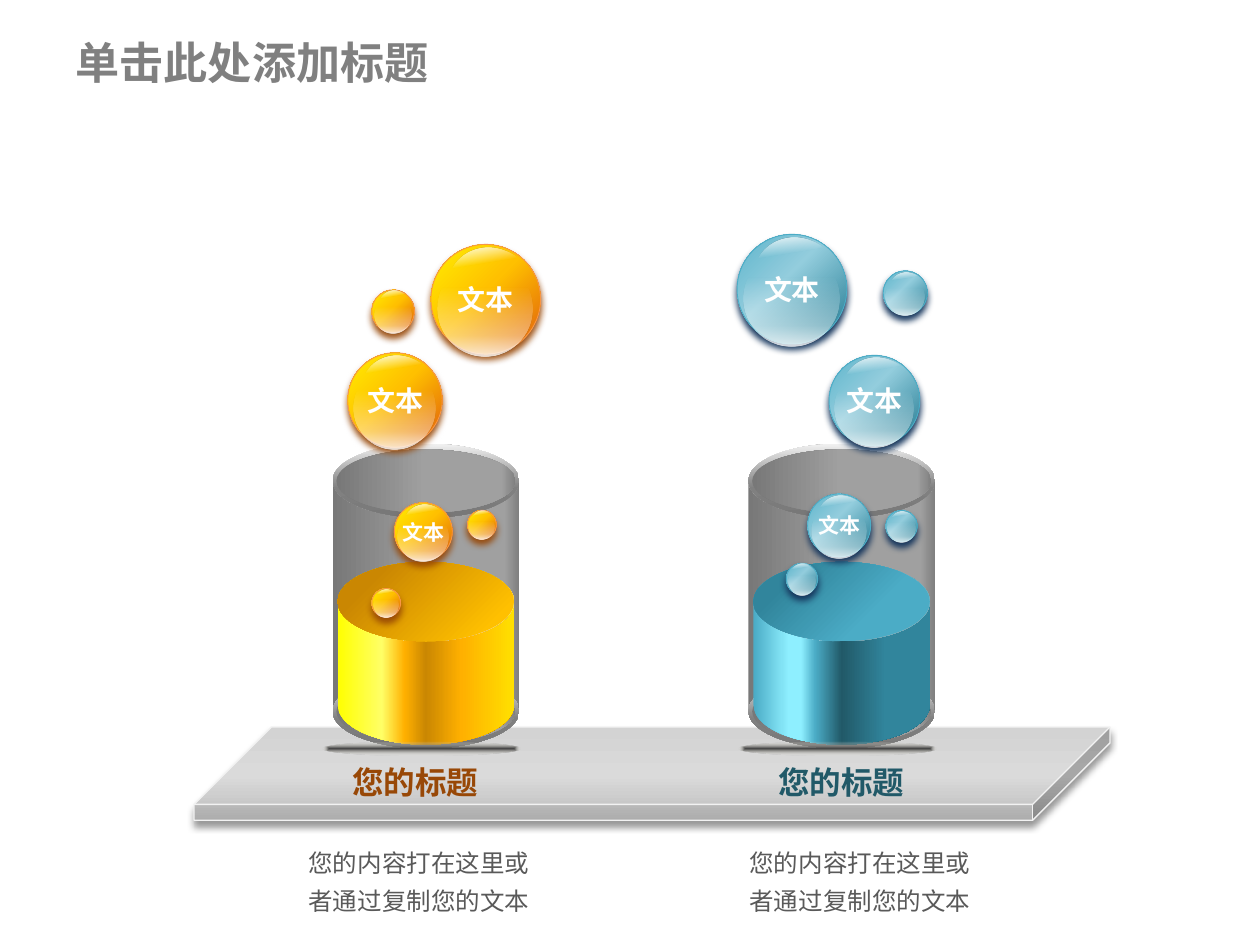
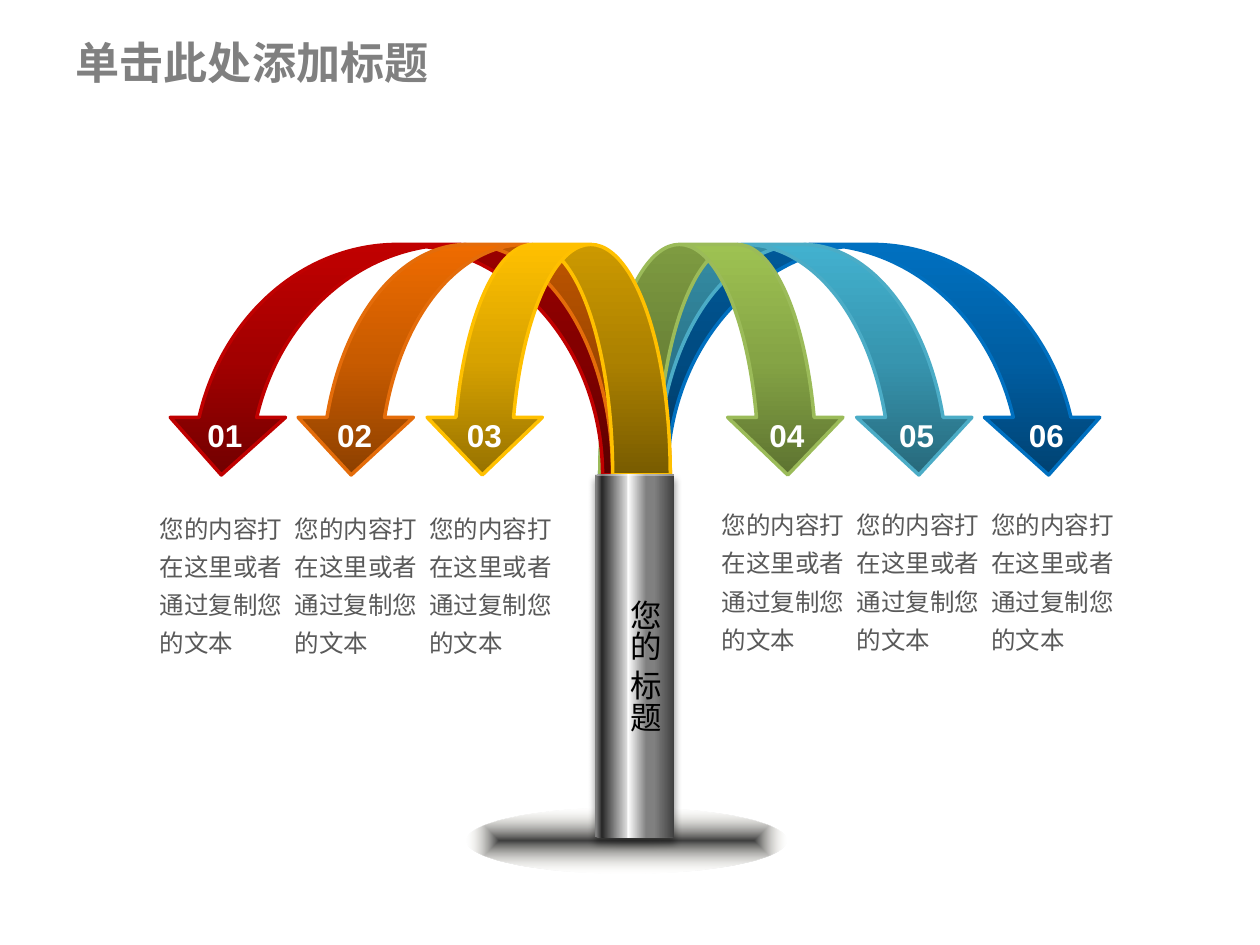
from typing import NamedTuple

from lxml.etree import SubElement
from pptx import Presentation
from pptx.dml.color import RGBColor
from pptx.enum.shapes import MSO_SHAPE as SHAPE
from pptx.enum.text import MSO_ANCHOR as ANCHOR, MSO_AUTO_SIZE as AUTO, PP_ALIGN as ALIGN
from pptx.oxml.ns import qn
from pptx.util import Inches, Pt

WIDTH, HEIGHT = 10, 7.5
COLUMNS, ROWS = 40, 30
CJK, LATIN = "Noto Sans CJK SC", "Arial"
HEADING = "单击此处添加标题"
CAPTION = "您的标题"
BODY = "您的内容打在这里或者通过复制您的文本"

rgb = RGBColor.from_string
WHITE, BLACK = rgb("FFFFFF"), rgb("000000")
CHARCOAL, NEAR_BLACK = rgb("404040"), rgb("262626")
TITLE_GREY, BODY_GREY = rgb("808080"), rgb("595959")
GLASS_DARK, GLASS_LIGHT, SILVER = rgb("787878"), rgb("A0A0A0"), rgb("D9D9D9")
SHELF_DARK, SHELF_MID, SHELF_LIGHT = rgb("ADADAD"), rgb("D1D1D1"), rgb("C9C9C9")
SHELF_EDGE, CREAM = rgb("F2F2F2"), rgb("EEECE1")
YELLOW, PALE_YELLOW, GOLD = rgb("FFFF00"), rgb("FFFF66"), rgb("FFC000")
AMBER, BRONZE, LEMON = rgb("FFB000"), rgb("CA8702"), rgb("FFE000")
ORANGE, PEACH, BROWN = rgb("E46C0A"), rgb("F79646"), rgb("984807")
AQUA, PALE_AQUA, TEAL = rgb("4BACC6"), rgb("93CDDD"), rgb("31859C")
ICE, DEEP_TEAL, NAVY = rgb("8EEFFF"), rgb("215968"), rgb("17375E")

SOFT_SHADOW = (BLACK, 40, 4, 3)
GLOSS = ((0, WHITE, 0), (16, WHITE, 87), (30, WHITE, 0))
BOWL = ((28, WHITE, 0), (78, WHITE, 41), (98, WHITE, 79))
FLOOR_SHADE = ((0, CHARCOAL), (100, CREAM, 0))
GLASS = ((0, GLASS_DARK), (50, GLASS_LIGHT), (92, GLASS_LIGHT), (100, TITLE_GREY))
RIM = ((0, SHELF_EDGE), (60, TITLE_GREY), (100, GLASS_DARK))
SHELF = ((0, SHELF_DARK), (48, SHELF_MID), (100, SHELF_LIGHT))
STEEL = ((2, TITLE_GREY), (9, NEAR_BLACK), (40, SILVER), (42, WHITE),
         (65, TITLE_GREY), (75, TITLE_GREY), (100, CHARCOAL))


class Box(NamedTuple):
    """A rectangle in grid columns and rows."""
    x: float
    y: float
    w: float
    h: float

    def sub(self, dx, dy, w, h):
        """Return a box placed from this box's top left corner."""
        return Box(self.x + dx, self.y + dy, w, h)

    def share(self, fx, fy, fw, fh):
        """Return a box given as shares of this box's size."""
        return self.sub(fx * self.w, fy * self.h, fw * self.w, fh * self.h)

    def lengths(self):
        """Return the position and size as lengths on the slide."""
        col, row = WIDTH / COLUMNS, HEIGHT / ROWS
        return [Inches(n * unit) for n, unit in zip(self, (col, row, col, row))]


class Liquid(NamedTuple):
    """The colours of a vessel's content."""
    bubble: tuple
    edge: RGBColor
    shadow: tuple
    side: tuple
    surface: tuple
    caption: RGBColor


class Arrow(NamedTuple):
    """The width, overlap across the axis and colours of a curved arrow."""
    w: float
    overlap: float
    dark: RGBColor
    mid: RGBColor
    light: RGBColor
    edge: RGBColor


ORANGE_LIQUID = Liquid(
    ((0, YELLOW), (47, GOLD), (82, ORANGE)), PEACH, (BROWN, 92, 4, 3),
    ((0, YELLOW), (25, PALE_YELLOW), (38, AMBER), (50, BRONZE), (70, AMBER), (100, LEMON)),
    ((15, GOLD), (80, BRONZE)), BROWN)
BLUE_LIQUID = Liquid(
    ((0, AQUA), (44, PALE_AQUA), (82, TEAL)), AQUA, (NAVY, 100, 4, 3),
    ((0, AQUA), (20, ICE), (27, ICE), (35, AQUA), (50, DEEP_TEAL), (75, TEAL), (100, TEAL)),
    ((33, AQUA), (80, TEAL)), DEEP_TEAL)
ORANGE_BUBBLES = ((3.12, 0.76, 3.48, 16), (0.48, 4.2, 3, 16), (1.96, 8.96, 1.84, 12),
                  (4.28, 9.2, 0.92, 0), (1.24, 11.68, 0.92, 0), (1.24, 2.2, 1.36, 0))
BLUE_BUBBLES = ((-0.36, 0.44, 3.48, 16), (2.56, 4.28, 2.88, 16), (1.2, 10.88, 1, 0),
                (4.36, 9.2, 1, 0), (1.88, 8.68, 2, 12), (4.28, 1.6, 1.4, 0))

LEFT_ARROWS = (
    Arrow(15.76, 0.8, rgb("720000"), rgb("A20000"), rgb("C00000"), rgb("C00000")),
    Arrow(11.96, 1.12, rgb("8D4000"), rgb("C85B00"), rgb("EE6B00"), ORANGE),
    Arrow(7.8, 1.12, rgb("977200"), rgb("D7A200"), GOLD, GOLD))
RIGHT_ARROWS = (
    Arrow(15.76, 0.8, rgb("004272"), rgb("005EA2"), rgb("0070C0"), rgb("0070C0")),
    Arrow(11.96, 1.12, rgb("27697B"), rgb("3795AF"), rgb("42B1CF"), AQUA),
    Arrow(7.8, 1.12, rgb("5D7330"), rgb("85A445"), rgb("9EC252"), rgb("9BBB59")))


def add_colour(parent, colour, opacity):
    """Add a colour with an opacity in percent."""
    clr = SubElement(parent, qn("a:srgbClr"), val=str(colour))
    if opacity < 100:
        SubElement(clr, qn("a:alpha"), val=str(opacity * 1000))


def set_gradient(sp, stops, angle, path, focus):
    """Fill a shape with a linear gradient, or one spreading from a focus."""
    sp.fill.gradient()
    grad = sp._element.spPr.find(qn("a:gradFill"))
    grad.clear()
    grad.set("rotWithShape", "1")
    gs_list = SubElement(grad, qn("a:gsLst"))
    for pos, colour, *opacity in stops:
        gs = SubElement(gs_list, qn("a:gs"), pos=str(pos * 1000))
        add_colour(gs, colour, opacity[0] if opacity else 100)
    if path:
        node = SubElement(grad, qn("a:path"), path=path)
        rect = SubElement(node, qn("a:fillToRect"))
        for side, share in zip("ltrb", focus):
            rect.set(side, str(share * 1000))
    else:
        SubElement(grad, qn("a:lin"), ang=str(angle * 60000), scaled="0")


def add_shape(shapes, kind, box, stops, angle=0, path=None, focus=(50, 50, 50, 50),
              line=None, line_width=0.5, shadow=None, rotation=0, adjust=None):
    """Add a gradient-filled preset shape."""
    sp = shapes.add_shape(kind, *box.lengths())
    sp.rotation = rotation
    if adjust is not None:
        sp.adjustments[0] = adjust
    set_gradient(sp, stops, angle, path, focus)
    if line is None:
        sp.line.fill.background()
    else:
        sp.line.color.rgb = line
        sp.line.width = Pt(line_width)
    sp.shadow.inherit = False
    if shadow:
        colour, opacity, blur, distance = shadow
        effects = sp._element.spPr.find(qn("a:effectLst"))
        outer = SubElement(effects, qn("a:outerShdw"), blurRad=str(Pt(blur)),
                           dist=str(Pt(distance)), dir="5400000", rotWithShape="0")
        add_colour(outer, colour, opacity)
    return sp


def write(tf, text, size=14, colour=BODY_GREY, bold=False, font=CJK,
          align=ALIGN.LEFT, anchor=ANCHOR.TOP, spacing=None, wrap=True):
    """Write one formatted paragraph into a text frame."""
    tf.word_wrap = wrap
    tf.auto_size = AUTO.NONE
    tf.vertical_anchor = anchor
    p = tf.paragraphs[0]
    p.alignment = align
    if spacing:
        p.line_spacing = spacing
    r = p.add_run()
    r.text = text
    r.font.size, r.font.bold, r.font.name = Pt(size), bold, font
    r.font.color.rgb = colour
    SubElement(r._r.get_or_add_rPr(), qn("a:ea"), typeface=font)


def add_text(shapes, box, text, **style):
    """Add a text box and return its frame."""
    tf = shapes.add_textbox(*box.lengths()).text_frame
    write(tf, text, **style)
    return tf


def add_titled_slide(prs):
    """Add a title-only slide with the shared heading."""
    slide = prs.slides.add_slide(prs.slide_layouts[5])
    title = slide.shapes.title
    title.left, title.top, title.width, title.height = Box(2, 0.84, 36, 2.24).lengths()
    write(title.text_frame, HEADING, size=25.2, colour=TITLE_GREY, bold=True,
          anchor=ANCHOR.MIDDLE)
    return slide


def draw_bubble(shapes, box, liquid, label_size):
    """Draw a glossy bubble with an optional label."""
    group = shapes.add_group_shape().shapes
    add_shape(group, SHAPE.OVAL, box, liquid.bubble, path="circle", focus=(0, 0, 100, 100),
              line=liquid.edge, shadow=liquid.shadow, rotation=21.1)
    add_shape(group, SHAPE.OVAL, box.share(0.14, 0.04, 0.82, 0.76), GLOSS, 45, rotation=35.7)
    add_shape(group, SHAPE.OVAL, box.share(0.06, 0.15, 0.87, 0.87), BOWL, 90)
    if label_size:
        w, h = 0.18 * label_size, 0.1 * label_size
        add_text(shapes, box.sub((box.w - w) / 2, (box.h - h) / 2, w, h), "文本",
                 size=label_size, colour=WHITE, bold=True, align=ALIGN.CENTER,
                 anchor=ANCHOR.MIDDLE, wrap=False)


def draw_vessel(shapes, box, liquid, bubbles, caption_x, body_x):
    """Draw a glass of liquid with its bubbles, caption and description."""
    glass = box.sub(0, 7.08, box.w, 9.68)
    content = box.sub(0.16, 10.84, 5.6, 5.8)
    rim_h, surface_h = 2.36, 2.52
    add_shape(shapes, SHAPE.CAN, glass, GLASS, adjust=rim_h / glass.w)
    for y in (0, glass.h - rim_h):
        rim = glass.sub(0, y, glass.w, rim_h)
        add_shape(shapes, SHAPE.OVAL, rim, RIM, 90)
        add_shape(shapes, SHAPE.OVAL, rim.share(0.02, 0.08, 0.96, 0.85), GLASS)
    add_shape(shapes, SHAPE.CAN, content, liquid.side, adjust=surface_h / content.w)
    add_shape(shapes, SHAPE.OVAL, content.sub(0, 0, content.w, surface_h),
              liquid.surface, 225)
    add_shape(shapes, SHAPE.OVAL, box.sub(-0.32, 16.56, 6.28, 0.44), FLOOR_SHADE,
              path="shape")
    for dx, dy, size, label_size in bubbles:
        draw_bubble(shapes, box.sub(dx, dy, size, size), liquid, label_size)
    add_text(shapes, box.sub(caption_x, 17.02, 4.84, 1.6), CAPTION, size=18,
             colour=liquid.caption, bold=True, align=ALIGN.CENTER, wrap=False)
    add_text(shapes, box.sub(body_x, 19.44, 8.24, 2.72), BODY, spacing=1.3)


def draw_arrows(shapes, box, arrows, axis, flipped):
    """Draw nested curved arrows springing from an axis to one side."""
    for arrow in arrows:
        x = axis + arrow.overlap - arrow.w if flipped else axis - arrow.overlap
        stops = ((0, arrow.dark), (50, arrow.mid), (100, arrow.light))
        sp = add_shape(shapes, SHAPE.CURVED_DOWN_ARROW, box.sub(x, 0, arrow.w, box.h),
                       stops, 270, line=arrow.edge, line_width=2)
        if flipped:
            sp._element.spPr.get_or_add_xfrm().set("flipH", "1")


def draw_column(shapes, box):
    """Draw the steel column with its vertical caption."""
    add_shape(shapes, SHAPE.CAN, box, STEEL, adjust=0.03, shadow=SOFT_SHADOW)
    tf = add_text(shapes, box.sub(0.4, 3.6, 2, 4.76), "您的 标题", size=18,
                  colour=BLACK, wrap=False)
    tf._txBody.bodyPr.set("vert", "eaVert")


def draw_notes(shapes, box, first, text_y):
    """Draw three numbered descriptions side by side."""
    for i in range(3):
        add_text(shapes, box.sub(1.32 + 4.12 * i, 0, 2.28, 1.6), f"{first + i:02}",
                 size=18, colour=WHITE, bold=True, font=LATIN, align=ALIGN.CENTER, wrap=False)
        add_text(shapes, box.sub(4.28 * i, text_y, 5.04, 5.32), BODY, spacing=1.3)


def build_vessels(prs):
    """Build the slide with two vessels on a shelf."""
    shapes = add_titled_slide(prs).shapes
    add_shape(shapes, SHAPE.CUBE, Box(6.16, 23.08, 29.08, 2.96), SHELF, 270,
              line=SHELF_EDGE, line_width=0.75, shadow=SOFT_SHADOW, adjust=0.83)
    draw_vessel(shapes, Box(10.56, 7, 5.92, 22), ORANGE_LIQUID, ORANGE_BUBBLES, 0.2, -1.16)
    draw_vessel(shapes, Box(23.76, 7, 5.92, 22), BLUE_LIQUID, BLUE_BUBBLES, 0.52, -0.36)


def build_fountain(prs):
    """Build the slide with six arrows springing from a column."""
    shapes = add_titled_slide(prs).shapes
    add_shape(shapes, SHAPE.OVAL, Box(14.8, 25.64, 10.16, 2.08), FLOOR_SHADE, path="shape")
    arc = Box(0, 7.76, COLUMNS, 7.32)
    draw_arrows(shapes, arc, RIGHT_ARROWS, 20.16, False)
    draw_arrows(shapes, arc, LEFT_ARROWS, 20.16, True)
    draw_column(shapes, Box(18.88, 15.04, 2.52, 11.56))
    draw_notes(shapes, Box(4.68, 13, 13.6, 8.16), 1, 2.84)
    draw_notes(shapes, Box(22.52, 13, 13.6, 8.16), 4, 2.72)


def main():
    """Build and save the presentation."""
    prs = Presentation()
    prs.slide_width, prs.slide_height = Inches(WIDTH), Inches(HEIGHT)
    build_vessels(prs)
    build_fountain(prs)
    prs.save("out.pptx")


if __name__ == "__main__":
    main()
